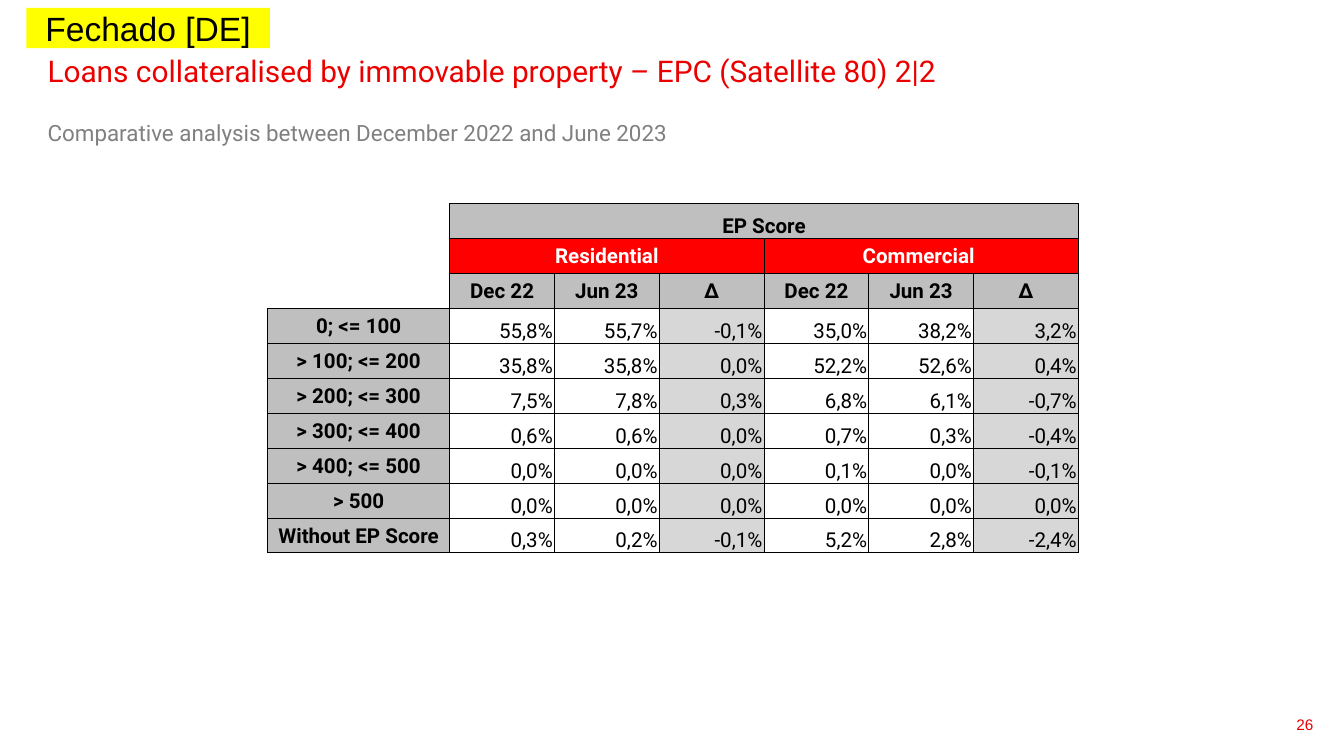
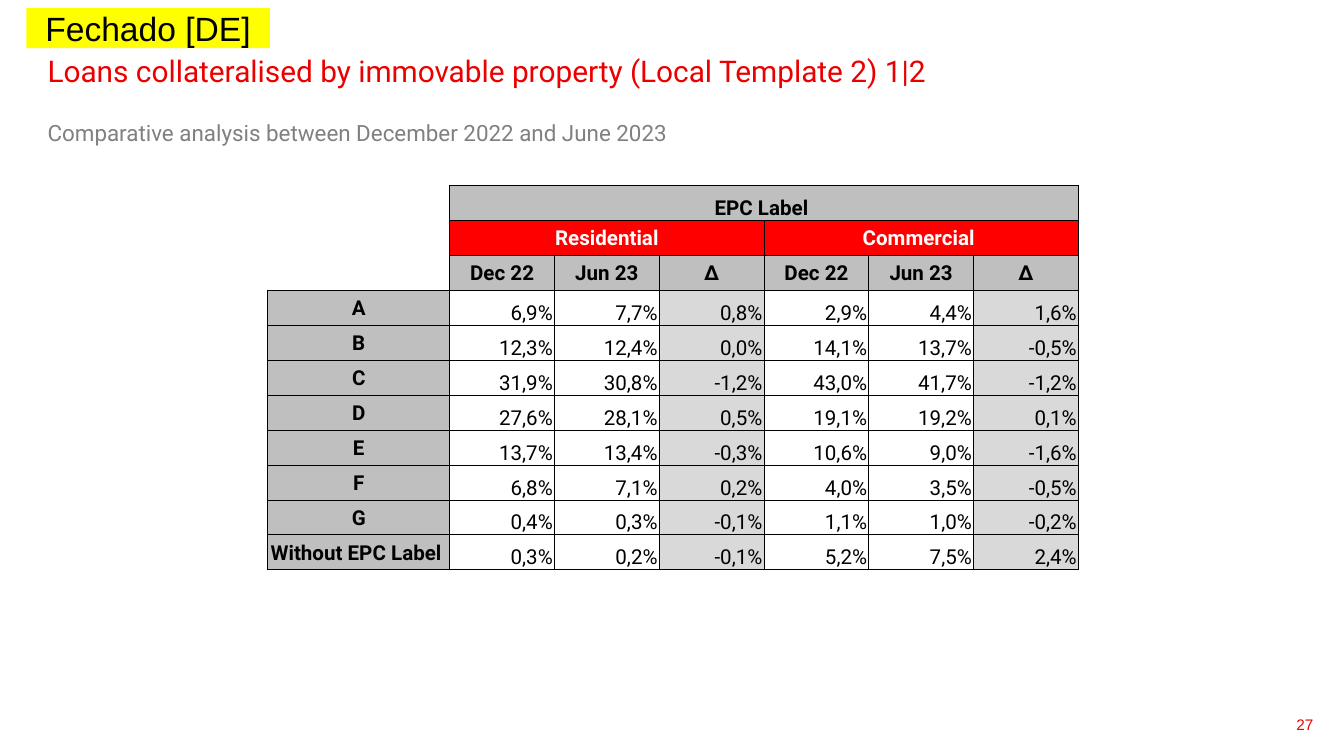
"""Build two slides comparing energy performance tables for December 2022 and June 2023."""
from lxml import etree
from pptx import Presentation
from pptx.dml.color import RGBColor
from pptx.enum.shapes import MSO_SHAPE
from pptx.enum.text import MSO_ANCHOR, PP_ALIGN
from pptx.oxml.ns import qn
from pptx.util import Cm, Pt

LEFT, CENTER, RIGHT = PP_ALIGN.LEFT, PP_ALIGN.CENTER, PP_ALIGN.RIGHT
MIDDLE, BOTTOM = MSO_ANCHOR.MIDDLE, MSO_ANCHOR.BOTTOM
RECTANGLE = MSO_SHAPE.RECTANGLE

BLACK = RGBColor(0x00, 0x00, 0x00)
WHITE = RGBColor(0xFF, 0xFF, 0xFF)
TITLE_RED = RGBColor(0xEB, 0x00, 0x00)
BAND_RED = RGBColor(0xFF, 0x00, 0x00)
YELLOW = RGBColor(0xFF, 0xFF, 0x00)
SUBTITLE_GREY = RGBColor(0x80, 0x80, 0x80)
HEADER_GREY = RGBColor(0xBF, 0xBF, 0xBF)
SCORE_GREY = RGBColor(0xD7, 0xD7, 0xD7)
LABEL_GREY = RGBColor(0xD9, 0xD9, 0xD9)

SUBTITLE = "Comparative analysis between December 2022 and June 2023"
PERIODS = ["Dec 22", "Jun 23", "∆"] * 2
HEADER_ROWS = 3
LABEL_WIDTH, VALUE_WIDTH, ROW_HEIGHT = Cm(3.44), Cm(1.98), Cm(0.66)

SLIDES = [
    {
        "number": "26",
        "title": "Loans collateralised by immovable property – EPC (Satellite 80) 2|2",
        "heading": "EP Score",
        "top": Cm(3.85),
        "delta_fill": SCORE_GREY,
        "rows": [
            ("0; <= 100", "55,8% 55,7% -0,1% 35,0% 38,2% 3,2%"),
            ("> 100; <= 200", "35,8% 35,8% 0,0% 52,2% 52,6% 0,4%"),
            ("> 200; <= 300", "7,5% 7,8% 0,3% 6,8% 6,1% -0,7%"),
            ("> 300; <= 400", "0,6% 0,6% 0,0% 0,7% 0,3% -0,4%"),
            ("> 400; <= 500", "0,0% 0,0% 0,0% 0,1% 0,0% -0,1%"),
            ("> 500", "0,0% 0,0% 0,0% 0,0% 0,0% 0,0%"),
            ("Without EP Score", "0,3% 0,2% -0,1% 5,2% 2,8% -2,4%"),
        ],
    },
    {
        "number": "27",
        "title": "Loans collateralised by immovable property (Local Template 2) 1|2",
        "heading": "EPC Label ",
        "top": Cm(3.51),
        "delta_fill": LABEL_GREY,
        "rows": [
            ("A", "6,9% 7,7% 0,8% 2,9% 4,4% 1,6%"),
            ("B", "12,3% 12,4% 0,0% 14,1% 13,7% -0,5%"),
            ("C", "31,9% 30,8% -1,2% 43,0% 41,7% -1,2%"),
            ("D", "27,6% 28,1% 0,5% 19,1% 19,2% 0,1%"),
            ("E", "13,7% 13,4% -0,3% 10,6% 9,0% -1,6%"),
            ("F", "6,8% 7,1% 0,2% 4,0% 3,5% -0,5%"),
            ("G", "0,4% 0,3% -0,1% 1,1% 1,0% -0,2%"),
            ("Without EPC Label ", "0,3% 0,2% -0,1% 5,2% 7,5% 2,4%"),
        ],
    },
]


def write(paragraph, text, size=11, font="Roboto", color=BLACK, bold=False, align=LEFT):
    paragraph.alignment = align
    span = paragraph.add_run()
    span.text = text
    span.font.size = Pt(size)
    span.font.name = font
    span.font.bold = bold
    span.font.color.rgb = color


def add_border(cell, side, visible):
    line = etree.SubElement(cell._tc.get_or_add_tcPr(), qn(f"a:ln{side}"), w=str(Pt(0.5)))
    if visible:
        fill = etree.SubElement(line, qn("a:solidFill"))
        etree.SubElement(fill, qn("a:srgbClr"), val=str(BLACK))
    else:
        etree.SubElement(line, qn("a:noFill"))


deck = Presentation()
deck.slide_width, deck.slide_height = Cm(25.4), Cm(14.29)

for content in SLIDES:
    page = deck.slides.add_slide(deck.slide_layouts[6])

    number_box = page.shapes.add_textbox(Cm(19.35), Cm(13.39), Cm(5.72), Cm(0.76))
    number_box.text_frame.word_wrap = True
    write(number_box.text_frame.paragraphs[0], content["number"],
          size=8.2, font="Arial", color=TITLE_RED, align=RIGHT)

    title_frame = page.shapes.add_textbox(Cm(0.9), Cm(0.97), Cm(23.6), Cm(1.8)).text_frame
    title_frame.word_wrap = True
    title_frame.vertical_anchor = MIDDLE
    title_frame.margin_left = title_frame.margin_right = 0
    title_frame.margin_top = title_frame.margin_bottom = 0
    write(title_frame.paragraphs[0], content["title"], size=16, color=TITLE_RED)
    subtitle = title_frame.add_paragraph()
    subtitle.space_before = Pt(16.4)
    write(subtitle, SUBTITLE, size=12, color=SUBTITLE_GREY)

    row_count = HEADER_ROWS + len(content["rows"])
    table = page.shapes.add_table(
        row_count, 7, Cm(5.06), content["top"],
        LABEL_WIDTH + 6 * VALUE_WIDTH, row_count * ROW_HEIGHT).table
    table.first_row = table.horz_banding = False
    for index, column in enumerate(table.columns):
        column.width = VALUE_WIDTH if index else LABEL_WIDTH
    for row in table.rows:
        row.height = ROW_HEIGHT
    table.cell(0, 1).merge(table.cell(0, 6))
    table.cell(1, 1).merge(table.cell(1, 3))
    table.cell(1, 4).merge(table.cell(1, 6))

    grid = [
        ["", content["heading"]] + [""] * 5,
        ["", "Residential", "", "", "Commercial ", "", ""],
        [""] + PERIODS,
    ]
    grid += [[label] + values.split() for label, values in content["rows"]]

    for r, texts in enumerate(grid):
        for c, text in enumerate(texts):
            cell = table.cell(r, c)
            is_corner = r < HEADER_ROWS and c == 0
            is_value = r >= HEADER_ROWS and c > 0
            cell.margin_left = cell.margin_right = cell.margin_top = Cm(0.03)
            cell.margin_bottom = 0
            cell.vertical_anchor = BOTTOM if is_value or r == 0 else MIDDLE
            for side in "LRTB":
                closes_corner = side == "R" or (side == "B" and r == HEADER_ROWS - 1)
                add_border(cell, side, not is_corner or closes_corner)
            if is_corner or (is_value and c % 3):
                cell.fill.background()
            else:
                cell.fill.solid()
                header_fill = BAND_RED if r == 1 else HEADER_GREY
                cell.fill.fore_color.rgb = content["delta_fill"] if is_value else header_fill
            paragraph = cell.text_frame.paragraphs[0]
            if text:
                write(paragraph, text, color=WHITE if r == 1 else BLACK,
                      bold=not is_value, align=RIGHT if is_value else CENTER)
            else:
                paragraph._p.get_or_add_endParaRPr().set("sz", "1100")

    tag = page.shapes.add_shape(RECTANGLE, Cm(0.5), Cm(0.15), Cm(4.6), Cm(0.76))
    tag.shadow.inherit = False
    tag.fill.solid()
    tag.fill.fore_color.rgb = YELLOW
    tag.line.fill.background()
    tag.text_frame.word_wrap = True
    tag.text_frame.vertical_anchor = MIDDLE
    write(tag.text_frame.paragraphs[0], "Fechado [DE]", size=18, font="Arial", align=CENTER)

deck.save("out.pptx")
